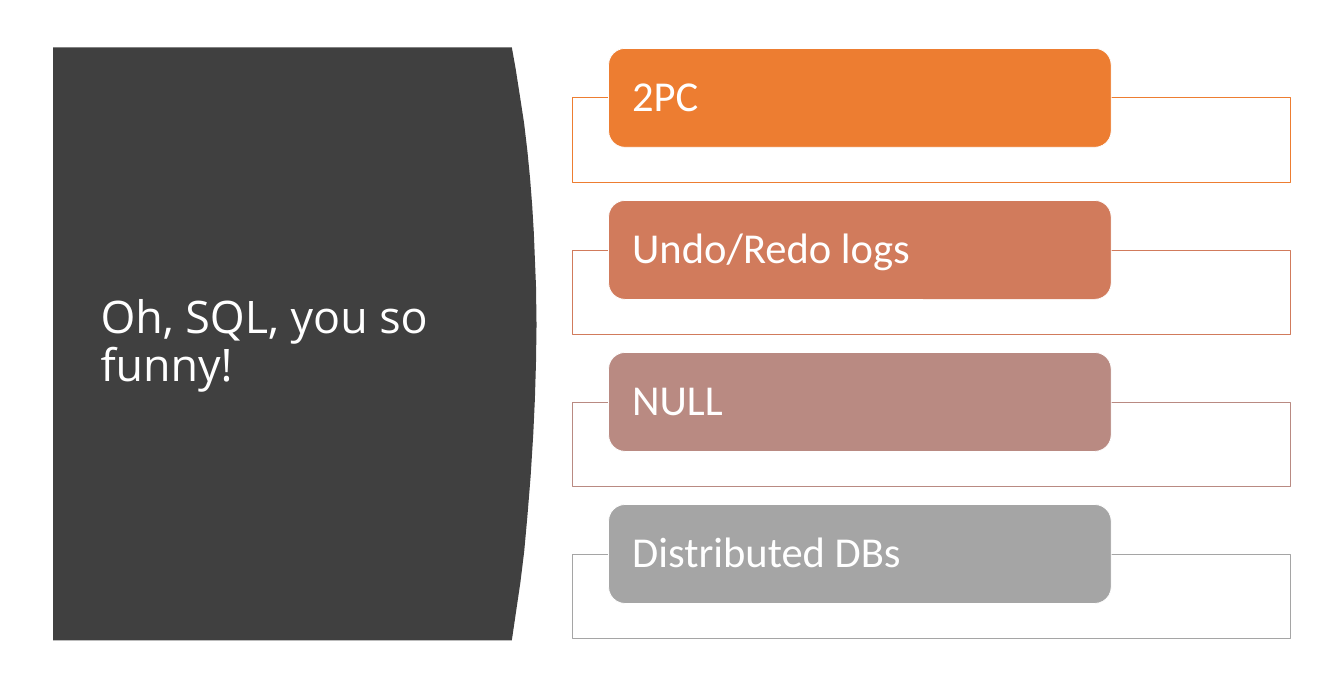
import pptx
import pptx.dml.color
import pptx.enum.shapes
import pptx.enum.text
import pptx.oxml.ns
import pptx.util
from lxml import etree

Inches = pptx.util.Inches
RGBColor = pptx.dml.color.RGBColor
Shape = pptx.enum.shapes.MSO_SHAPE

WHITE = RGBColor(0xFF, 0xFF, 0xFF)
CHARCOAL = RGBColor(0x40, 0x40, 0x40)
ORANGE = RGBColor(0xED, 0x7D, 0x31)
TERRACOTTA = RGBColor(0xD1, 0x7B, 0x5C)
ROSE = RGBColor(0xB9, 0x8A, 0x82)
GRAY = RGBColor(0xA5, 0xA5, 0xA5)

PANEL_LEFT, PANEL_TOP, PANEL_BOTTOM = 0.99, 0.88, 11.91
PANEL_CURVE = [
    (9.52, 0.88), (9.59, 1.27), (9.67, 1.78), (9.75, 2.3), (9.81, 2.81),
    (9.86, 3.32), (9.9, 3.83), (9.93, 4.33), (9.95, 4.83), (9.97, 5.32),
    (9.98, 6.04), (9.97, 6.74), (9.95, 7.41), (9.92, 8.06), (9.87, 8.86),
    (9.81, 9.6), (9.75, 10.26), (9.68, 10.83), (9.61, 11.3), (9.52, 11.91),
]
TOPICS = [
    ("2PC", ORANGE),
    ("Undo/Redo logs", TERRACOTTA),
    ("NULL", ROSE),
    ("Distributed DBs", GRAY),
]
FIRST_TOP, ROW_PITCH = 0.9, 2.827


def write_text(box, text, font, size, side_inset, end_inset):
    frame = box.text_frame
    frame.word_wrap = True
    frame.auto_size = pptx.enum.text.MSO_AUTO_SIZE.NONE
    frame.vertical_anchor = pptx.enum.text.MSO_ANCHOR.MIDDLE
    frame.margin_left = frame.margin_right = Inches(side_inset)
    frame.margin_top = frame.margin_bottom = Inches(end_inset)
    para = frame.paragraphs[0]
    para.alignment = pptx.enum.text.PP_ALIGN.LEFT
    para.line_spacing = 0.9
    span = para.add_run()
    span.text = text
    span.font.name = font
    span.font.size = pptx.util.Pt(size)
    span.font.color.rgb = WHITE


def add_box(page, preset, left, top, width, height, fill, line):
    box = page.shapes.add_shape(
        preset, Inches(left), Inches(top), Inches(width), Inches(height))
    box.shadow.inherit = False
    box.fill.solid()
    box.fill.fore_color.rgb = fill
    box.line.color.rgb = line
    box.line.width = pptx.util.Pt(1)
    return box


deck = pptx.Presentation()
deck.slide_width = Inches(25)
deck.slide_height = Inches(12.83)
page = deck.slides.add_slide(deck.slide_layouts[5])

outline = page.shapes.build_freeform(Inches(PANEL_LEFT), Inches(PANEL_TOP))
outline.add_line_segments(
    [(Inches(x), Inches(y)) for x, y in PANEL_CURVE + [(PANEL_LEFT, PANEL_BOTTOM)]])
panel = outline.convert_to_shape()
panel.shadow.inherit = False
panel.fill.solid()
panel.fill.fore_color.rgb = CHARCOAL
panel.line.fill.background()

title = page.shapes.title
title.left, title.top = Inches(1.77), Inches(1.89)
title.width, title.height = Inches(7), Inches(8.97)
write_text(title, "Oh, SQL, you so funny!", "Open Sans", 60, 0.1, 0.05)
panel._element.addnext(title._element)

for row, (topic, color) in enumerate(TOPICS):
    top = FIRST_TOP + row * ROW_PITCH
    frame_box = add_box(page, Shape.RECTANGLE, 10.65, top + 0.92, 13.36, 1.57, WHITE, color)
    fill_color = frame_box._element.spPr.find(
        "/".join(map(pptx.oxml.ns.qn, ("a:solidFill", "a:srgbClr"))))
    etree.SubElement(fill_color, pptx.oxml.ns.qn("a:alpha"), val="90000")
    label = add_box(page, Shape.ROUNDED_RECTANGLE, 11.32, top, 9.35, 1.84, color, WHITE)
    write_text(label, topic, "Calibri", 57, 0.35, 0)

deck.save("out.pptx")
